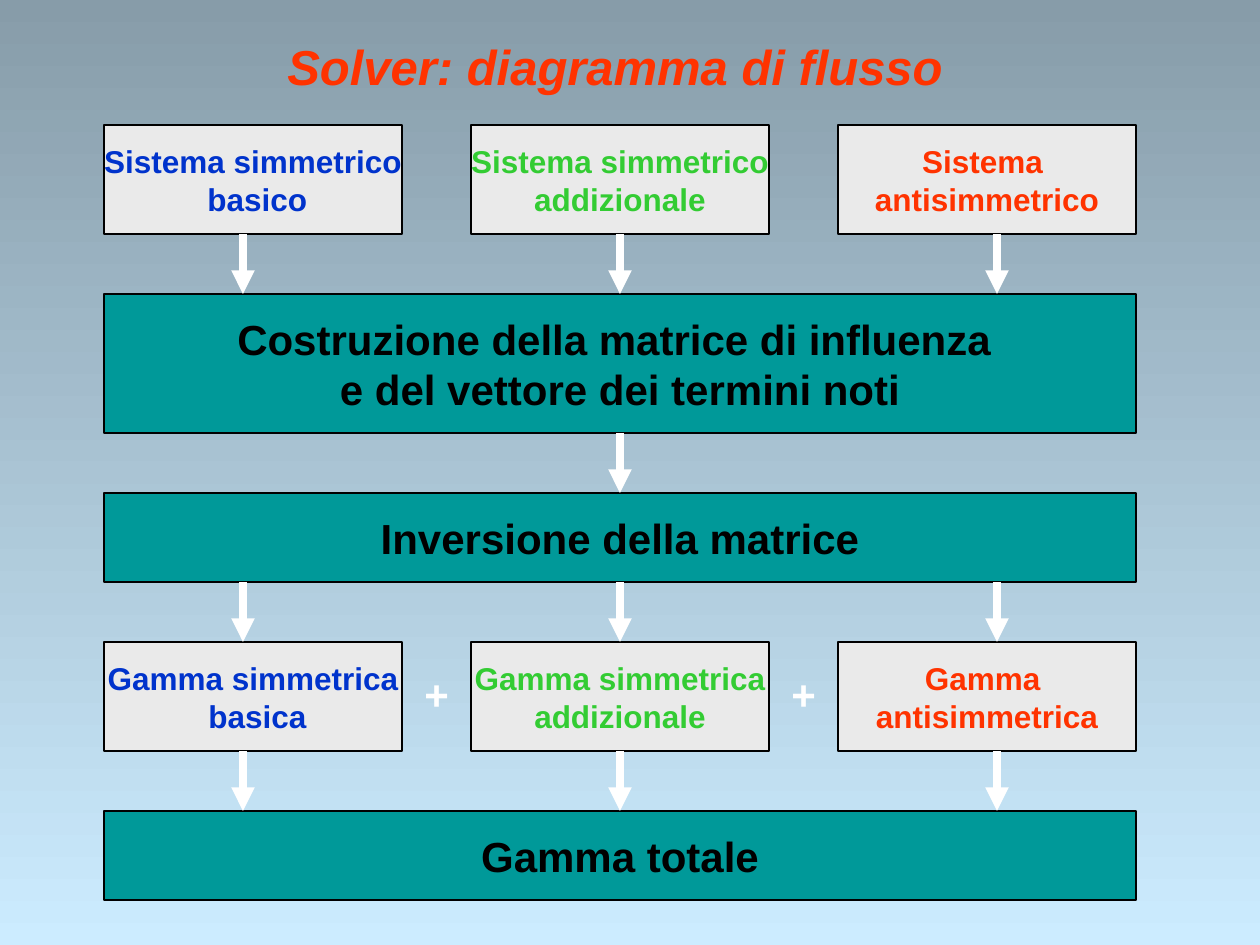
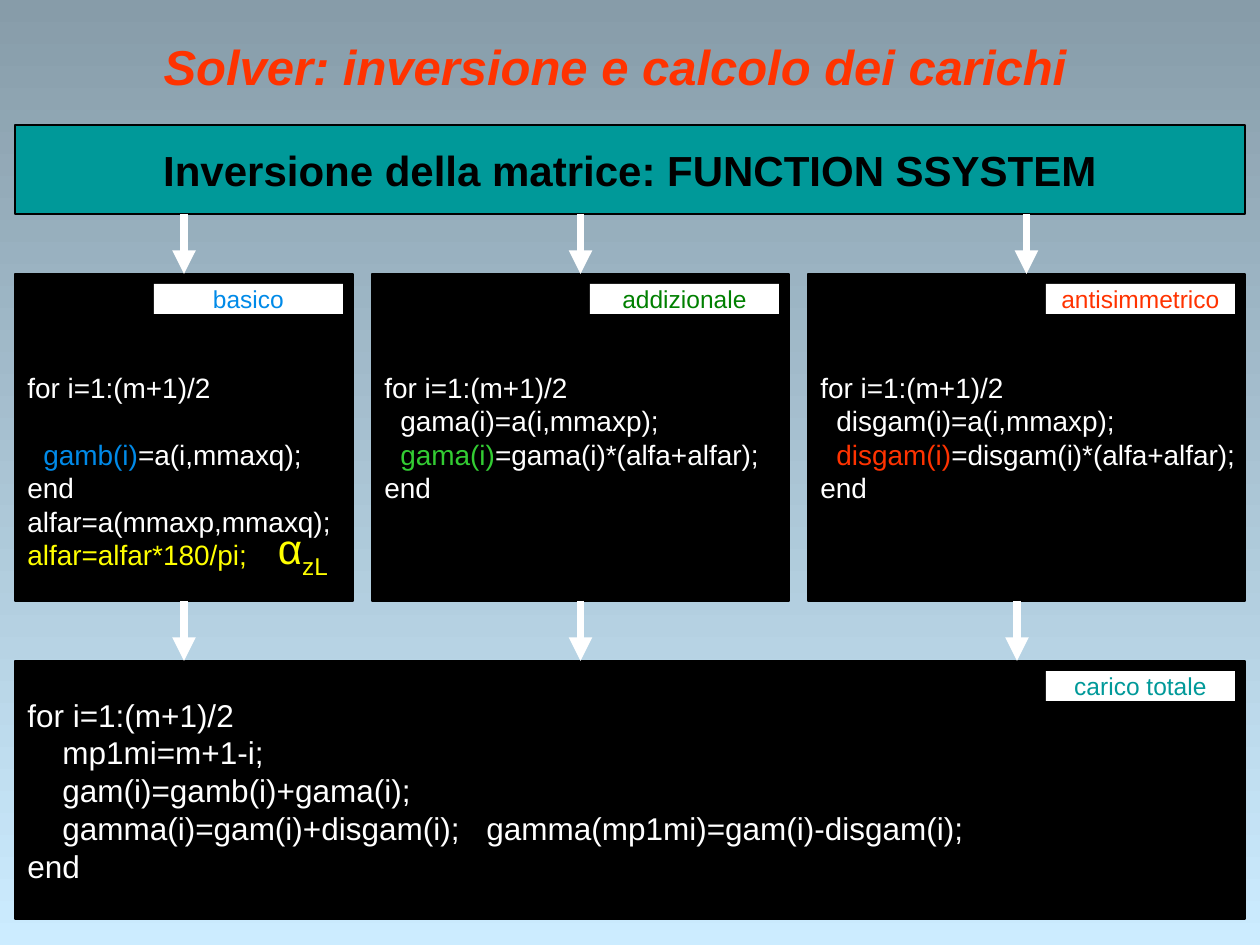
"""Build two slides on a solver: its flow diagram and its inversion code."""
from dataclasses import dataclass

import pptx
import pptx.dml.color
import pptx.enum.shapes
import pptx.enum.text
import pptx.oxml
import pptx.oxml.ns
import pptx.util

ALIGN = pptx.enum.text.PP_ALIGN
ANCHOR = pptx.enum.text.MSO_ANCHOR
PX_PER_INCH = 126


@dataclass(frozen=True)
class Theme:
    font: str = "Arial"
    sky_top: str = "879CA9"
    sky_bottom: str = "CCECFF"
    teal: str = "009999"
    pale: str = "EAEAEA"
    black: str = "000000"
    white: str = "FFFFFF"
    red: str = "FF3300"
    blue: str = "0033CC"
    green: str = "33CC33"
    azure: str = "008AE8"
    dark_green: str = "008000"
    yellow: str = "FFFF00"
    title_size: int = 28
    step_size: int = 24
    box_size: int = 18
    code_size: int = 16
    tag_size: int = 14
    outline: float = 0.75
    arrow: float = 4.5


THEME = Theme()
GAP = 60
TOP = 125
BAR_HEIGHT = 89


def px(length):
    """Turn pixels into EMU."""
    return pptx.util.Emu(round(length * 914400 / PX_PER_INCH))


def rgb(code):
    """Turn a hex code into a colour."""
    return pptx.dml.color.RGBColor.from_string(code)


def add_run(paragraph, text, color, size, bold=False, italic=False):
    """Append one formatted run."""
    run = paragraph.add_run()
    run.text = text
    run.font.name = THEME.font
    run.font.size = pptx.util.Pt(size)
    run.font.bold = bold
    run.font.italic = italic
    run.font.color.rgb = rgb(color)
    return run


def write_lines(frame, lines, size, align=ALIGN.CENTER, bold=False, italic=False):
    """Write each line, a list of (text, color) runs, as a paragraph."""
    for index, line in enumerate(lines):
        paragraph = frame.add_paragraph() if index else frame.paragraphs[0]
        paragraph.alignment = align
        for text, color in line:
            add_run(paragraph, text, color, size, bold, italic)


def add_label(slide, left, top, width, height, anchor=ANCHOR.MIDDLE, wrap=False):
    """Add an empty text box and return its frame."""
    frame = slide.shapes.add_textbox(px(left), px(top), px(width), px(height)).text_frame
    frame.word_wrap = wrap
    frame.vertical_anchor = anchor
    return frame


def add_box(slide, left, top, width, height, fill, outlined=True):
    """Add a flat rectangle with its text centred vertically."""
    box = slide.shapes.add_shape(
        pptx.enum.shapes.MSO_SHAPE.RECTANGLE, px(left), px(top), px(width), px(height))
    box.shadow.inherit = False
    box.fill.solid()
    box.fill.fore_color.rgb = rgb(fill)
    if outlined:
        box.line.color.rgb = rgb(THEME.black)
        box.line.width = pptx.util.Pt(THEME.outline)
    else:
        box.line.fill.background()
    box.text_frame.word_wrap = False
    box.text_frame.vertical_anchor = ANCHOR.MIDDLE
    return box


def add_step(slide, left, top, width, height, *lines):
    """Add a teal bar naming a step of the solver."""
    step = add_box(slide, left, top, width, height, THEME.teal)
    write_lines(step.text_frame, [[(line, THEME.black)] for line in lines],
                THEME.step_size, bold=True)
    return step


def add_tag(slide, right, panel_top, text, color):
    """Add a white tag in the top right corner of a code panel."""
    width, height, inset = 189, 30, 10
    tag = add_box(slide, right - inset - width, panel_top + inset, width, height,
                  THEME.white, outlined=False)
    write_lines(tag.text_frame, [[(text, color)]], THEME.tag_size)


def set_tabs(frame, stops):
    """Give every paragraph left tab stops at the given pixels."""
    for paragraph in frame.paragraphs:
        tabs = pptx.oxml.parse_xml(
            "<a:tabLst %s>%s</a:tabLst>" % (
                pptx.oxml.ns.nsdecls("a"),
                "".join(f'<a:tab pos="{px(stop)}" algn="l"/>' for stop in stops)))
        paragraph._p.get_or_add_pPr().append(tabs)


def add_code(slide, left, top, width, height, lines, size, stops):
    """Add a black panel of code indented by tab stops."""
    panel = add_box(slide, left, top, width, height, THEME.black)
    write_lines(panel.text_frame, lines, size, ALIGN.LEFT)
    set_tabs(panel.text_frame, stops)
    return panel


def middle(box):
    """Return the horizontal centre of a box in EMU."""
    return box.left + box.width // 2


def add_arrow(slide, x, upper, lower):
    """Point down from one box to the next, joined where x is a side's middle."""
    arrow = slide.shapes.add_connector(
        pptx.enum.shapes.MSO_CONNECTOR.STRAIGHT, x, upper.top + upper.height, x, lower.top)
    arrow.line.color.rgb = rgb(THEME.white)
    arrow.line.width = pptx.util.Pt(THEME.arrow)
    namespace = pptx.oxml.ns.nsdecls("a")
    arrow.line._get_or_add_ln().append(
        pptx.oxml.parse_xml(f'<a:tailEnd {namespace} type="triangle"/>'))
    arrow._element.spPr.append(pptx.oxml.parse_xml(f"<a:effectLst {namespace}/>"))
    if abs(middle(upper) - x) < px(1):
        arrow.begin_connect(upper, 2)
    if abs(middle(lower) - x) < px(1):
        arrow.end_connect(lower, 0)


def add_titled_slide(deck, title):
    """Add a blank slide with the shared gradient and title."""
    slide = deck.slides.add_slide(deck.slide_layouts[6])
    sky = slide.background.fill
    sky.gradient()
    sky.gradient_angle = 270
    for stop, color, position in zip(
            sky.gradient_stops, (THEME.sky_top, THEME.sky_bottom), (0, 1)):
        stop.color.rgb = rgb(color)
        stop.position = position
    frame = add_label(slide, 0, 26, 1230, 79, wrap=True)
    write_lines(frame, [[(title, THEME.red)]], THEME.title_size, bold=True, italic=True)
    return slide


def build_flow(deck):
    """Build the flow diagram of the solver."""
    slide = add_titled_slide(deck, "Solver: diagramma di flusso")
    left, width, column_width, pitch = 104, 1032, 298, 367
    system_height, matrix_height = 109, 139
    matrix_top = TOP + system_height + GAP
    inversion_top = matrix_top + matrix_height + GAP
    gamma_top = inversion_top + BAR_HEIGHT + GAP
    total_top = gamma_top + system_height + GAP
    colors = (THEME.blue, THEME.green, THEME.red)

    def add_trio(top, names):
        """Add a row of three pale boxes, one for each system."""
        trio = []
        for column, (name, color) in enumerate(zip(names, colors)):
            box = add_box(slide, left + column * pitch, top, column_width,
                          system_height, THEME.pale)
            write_lines(box.text_frame, [[(line, color)] for line in name],
                        THEME.box_size, bold=True)
            trio.append(box)
        return trio

    systems = add_trio(TOP, (("Sistema simmetrico", " basico"),
                             ("Sistema simmetrico", "addizionale"),
                             ("Sistema ", "antisimmetrico")))
    matrix = add_step(slide, left, matrix_top, width, matrix_height,
                      "Costruzione della matrice di influenza ",
                      "e del vettore dei termini noti")
    inversion = add_step(slide, left, inversion_top, width, BAR_HEIGHT,
                         "Inversione della matrice")
    gammas = add_trio(gamma_top, (("Gamma simmetrica", " basica"),
                                  ("Gamma simmetrica", "addizionale"),
                                  ("Gamma ", "antisimmetrica")))
    total = add_step(slide, left, total_top, width, BAR_HEIGHT, "Gamma totale")

    add_arrow(slide, middle(matrix), matrix, inversion)
    for column, (system, gamma) in enumerate(zip(systems, gammas)):
        x = middle(matrix) + px((column - 1) * 377)
        add_arrow(slide, x, system, matrix)
        add_arrow(slide, x, inversion, gamma)
        add_arrow(slide, x, gamma, total)
    for column in range(2):
        plus = add_label(slide, left + 308 + column * pitch, gamma_top + 20, 49, 63,
                         ANCHOR.TOP, wrap=True)
        write_lines(plus, [[("+", THEME.white)]], THEME.step_size, bold=True)


def build_inversion(deck):
    """Build the slide on matrix inversion and load computation."""
    slide = add_titled_slide(deck, "Solver: inversione e calcolo dei carichi")
    left, width, panel_height, panel_gap = 15, 1230, 327, 19
    panel_top = TOP + BAR_HEIGHT + GAP
    load_top = panel_top + panel_height + GAP
    white = THEME.white
    loop = [("for i=1:(m+1)/2", white)]
    end = [("end", white)]
    inversion = add_step(slide, left, TOP, width, BAR_HEIGHT,
                         "Inversione della matrice: FUNCTION SSYSTEM")
    systems = (
        ("basico", THEME.azure, 338, [
            loop,
            [("\tgamb(i)", THEME.azure), ("=a(i,mmaxq);", white)],
            end,
            [("alfar=a(mmaxp,mmaxq);", white)],
            [("alfar=alfar*180/pi;", THEME.yellow)]]),
        ("addizionale", THEME.dark_green, 417, [
            loop,
            [("\tgama(i)=a(i,mmaxp);", white)],
            [("\tgama(i)", THEME.green), ("=gama(i)*(alfa+alfar);", white)],
            end]),
        ("antisimmetrico", THEME.red, 437, [
            loop,
            [("\tdisgam(i)=a(i,mmaxp);", white)],
            [("\tdisgam(i)", THEME.red), ("=disgam(i)*(alfa+alfar);", white)],
            end]),
    )
    load = add_code(slide, left, load_top, width, 258, [
        loop,
        [("\tmp1mi=m+1-i;", white)],
        [("\tgam(i)=gamb(i)+gama(i);", white)],
        [("\tgamma(i)=gam(i)+disgam(i);\tgamma(mp1mi)=gam(i)-disgam(i);", white)],
        end], THEME.box_size, (35, 459))
    add_tag(slide, left + width, load_top, "carico totale", THEME.teal)

    panels = []
    panel_left = left
    for name, color, panel_width, code in systems:
        panel = add_code(slide, panel_left, panel_top, panel_width, panel_height,
                         code, THEME.code_size, (16,))
        add_tag(slide, panel_left + panel_width, panel_top, name, color)
        add_arrow(slide, middle(panel), inversion, panel)
        panels.append(panel)
        panel_left += panel_width + panel_gap
    basic, additional, antisymmetric = panels
    basic.text_frame.margin_top = px(73)
    basic.text_frame.paragraphs[1].space_before = pptx.util.Pt(19)

    add_arrow(slide, middle(basic), basic, load)
    add_arrow(slide, middle(additional), additional, load)
    add_arrow(slide, px(1017), antisymmetric, load)

    alpha = add_label(slide, 253, 522, 100, 59)
    write_lines(alpha, [[("α", THEME.yellow), ("zL", THEME.yellow)]], THEME.step_size)
    subscript = alpha.paragraphs[0].runs[1]
    subscript._r.get_or_add_rPr().set("baseline", "-25000")


def main():
    """Build and save the deck."""
    deck = pptx.Presentation()
    deck.slide_width = px(1260)
    deck.slide_height = px(945)
    build_flow(deck)
    build_inversion(deck)
    deck.save("out.pptx")


if __name__ == "__main__":
    main()
